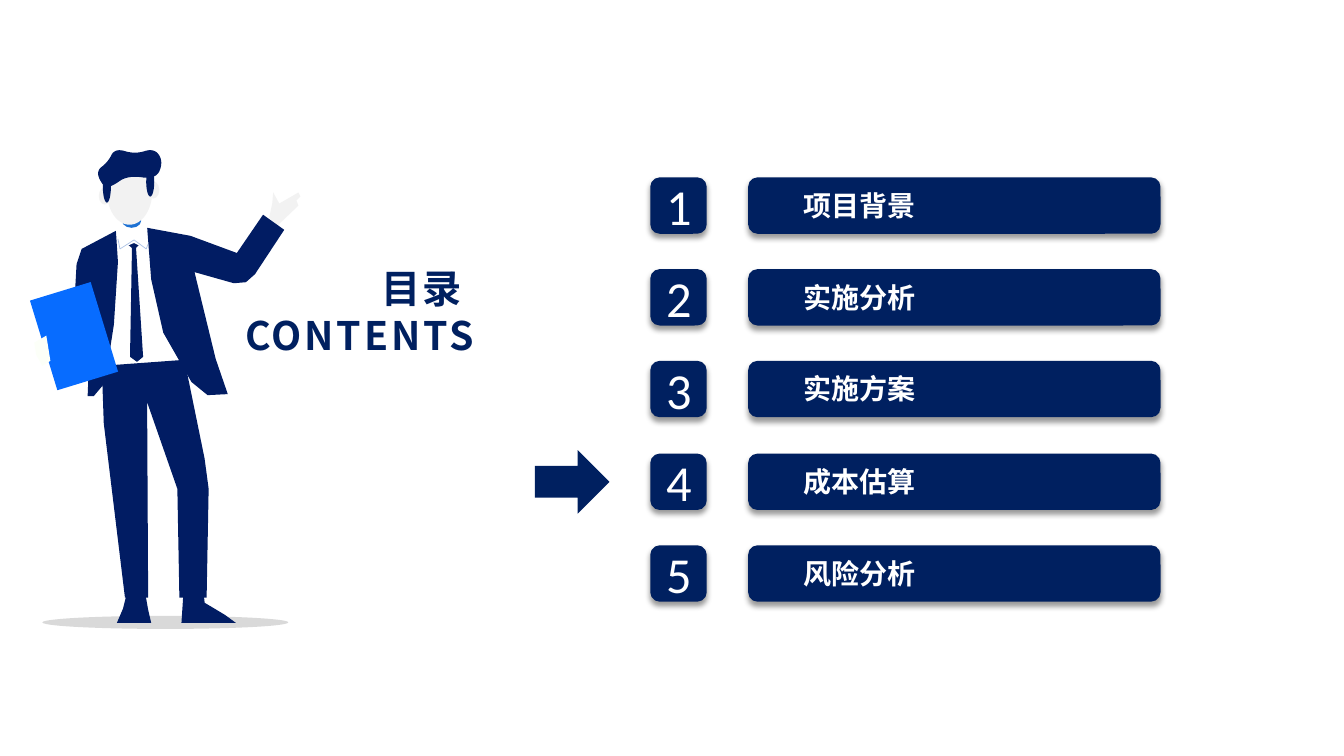
from itertools import pairwise

from lxml import etree
from pptx import Presentation
from pptx.dml.color import RGBColor
from pptx.enum.shapes import MSO_CONNECTOR, MSO_SHAPE
from pptx.enum.text import MSO_ANCHOR, MSO_AUTO_SIZE, PP_ALIGN
from pptx.oxml import parse_xml
from pptx.oxml.ns import nsdecls, qn
from pptx.util import Pt

PX = 9144  # EMU per px, 100 px to the inch
COLOURS = {
    "navy": "002060",
    "suit": "011C63",
    "white": "FFFFFF",
    "skin": "F2F2F2",
    "chin": "1D71D3",
    "seam": "ADC2E5",
    "folder": "076CFF",
    "fingers": "FCFFF8",
    "ground": "D9D9D9",
}
NUMBER_FONT = "Calibri"
TEXT_FONT = "Noto Sans CJK SC"
CHAPTERS = ["项目背景", "实施分析", "实施方案", "成本估算", "风险分析"]
ROW_TOP, ROW_PITCH, ROW_HEIGHT = 176, 91.25, 56

# Corner points in px, back to front
SHIRT = [(115, 229), (151, 231), (183, 357), (101, 367)]
LEFT_JACKET = [(115, 229), (117, 260), (113, 322), (104, 380), (93, 393),
               (87, 393), (90, 316), (73, 316), (76, 262), (81, 247)]
TIE = [(126, 242), (133, 238), (139, 242), (135, 246),
       (142, 354), (136, 359), (129, 354), (131, 246)]
TROUSERS = [(101, 363), (183, 357), (203, 455), (207, 485), (205, 593), (178, 593),
            (176, 485), (146, 399), (147, 593), (124, 593), (103, 420)]
RIGHT_SHOE = [(182, 588), (202, 588), (203, 598), (223, 610), (234, 618), (180, 618)]
LEFT_SHOE = [(126, 588), (144, 588), (147, 605), (150, 618), (116, 618), (122, 604)]
HAND = [(296, 191), (298, 195), (294, 199), (296, 204), (275, 224),
        (267, 216), (270, 202), (271, 191), (277, 202)]
RIGHT_JACKET = [(146, 226), (189, 234), (235, 251), (261, 213), (282, 228),
                (253, 272), (244, 280), (232, 281), (193, 270), (214, 356),
                (226, 391), (206, 392), (190, 379), (162, 330), (150, 277)]
COLLAR = [(120, 225), (146, 225), (145, 247), (133, 241), (119, 247), (115, 228)]
COLLAR_SEAM = [(117, 237), (119, 247), (133, 238), (145, 247), (147, 242)]
FINGERS = [(46, 333), (34, 340), (36, 352), (42, 363), (50, 358)]
HAIR = [(103, 186), (95, 170), (107, 161), (114, 147), (134, 153),
        (153, 147), (162, 160), (155, 178), (127, 174), (111, 185)]
BODY = [("white", SHIRT), ("suit", LEFT_JACKET), ("suit", TIE), ("suit", TROUSERS),
        ("suit", RIGHT_SHOE), ("suit", LEFT_SHOE), ("skin", HAND),
        ("suit", RIGHT_JACKET), ("white", COLLAR)]
# Chin shade, ears, head, sideburns
HEAD = [("chin", (121, 212, 19, 14)),
        ("skin", (98, 186, 12, 17)), ("skin", (146, 180, 12, 17)),
        ("skin", (106, 157, 45, 66)),
        ("suit", (102, 170, 8, 31)), ("suit", (145, 166, 8, 29))]


def px(length):
    return round(length * PX)


def rgb(colour):
    return RGBColor.from_string(COLOURS[colour])


def paint(shape, colour):
    shape.shadow.inherit = False
    shape.fill.solid()
    shape.fill.fore_color.rgb = rgb(colour)
    shape.line.fill.background()


def add_block(shapes, kind, place, colour):
    block = shapes.add_shape(kind, *map(px, place))
    paint(block, colour)
    return block


def add_card(shapes, place):
    """Navy rounded card with a soft shadow below."""
    card = add_block(shapes, MSO_SHAPE.ROUNDED_RECTANGLE, place, "navy")
    effects = card._element.spPr.find(qn("a:effectLst"))
    effects.append(parse_xml(
        f'<a:outerShdw {nsdecls("a")} blurRad="{Pt(4)}" dist="{Pt(3)}" dir="5400000" '
        'algn="t" rotWithShape="0"><a:srgbClr val="000000"><a:alpha val="40000"/>'
        '</a:srgbClr></a:outerShdw>'))
    return card


def set_frame(box, anchor=MSO_ANCHOR.TOP, auto_size=MSO_AUTO_SIZE.NONE):
    frame = box.text_frame
    frame.word_wrap = True
    frame.auto_size = auto_size
    frame.vertical_anchor = anchor
    frame.margin_left = frame.margin_right = px(13)
    frame.margin_top = frame.margin_bottom = px(7)
    return frame


def add_span(para, text, size, colour, font, align, bold=False, spacing=0):
    para.alignment = align
    span = para.add_run()
    span.text = text
    span.font.size = Pt(size)
    span.font.bold = bold
    span.font.name = font
    span.font.color.rgb = rgb(colour)
    properties = span.font._element
    etree.SubElement(properties, qn("a:ea")).set("typeface", font)
    if spacing:
        properties.set("spc", str(spacing * 100))


def add_chapter(page, number, title):
    top = ROW_TOP + round(ROW_PITCH * (number - 1))
    badge = add_card(page.shapes, (645, top, 56, ROW_HEIGHT))
    frame = set_frame(badge, MSO_ANCHOR.MIDDLE)
    add_span(frame.paragraphs[0], str(number), 36, "white", NUMBER_FONT, PP_ALIGN.CENTER)

    bar = page.shapes.add_group_shape()
    add_card(bar.shapes, (742, top, 409, ROW_HEIGHT))
    label = add_block(bar.shapes, MSO_SHAPE.RECTANGLE, (784, top + 4, 290, 47), "navy")
    frame = set_frame(label, auto_size=MSO_AUTO_SIZE.SHAPE_TO_FIT_TEXT)
    add_span(frame.paragraphs[0], title, 20, "white", TEXT_FONT, PP_ALIGN.LEFT, bold=True)


def add_title(page, lines):
    box = page.shapes.add_textbox(*map(px, (176, 255, 307, 108)))
    frame = set_frame(box, auto_size=MSO_AUTO_SIZE.SHAPE_TO_FIT_TEXT)
    for index, line in enumerate(lines):
        para = frame.add_paragraph() if index else frame.paragraphs[0]
        add_span(para, line, 28, "navy", TEXT_FONT, PP_ALIGN.RIGHT, bold=True, spacing=2)


def soften(points, rounds=3):
    """Round off a closed outline by cutting its corners."""
    for _ in range(rounds):
        points = [(a[0] + (b[0] - a[0]) * share, a[1] + (b[1] - a[1]) * share)
                  for a, b in pairwise(points + points[:1]) for share in (0.25, 0.75)]
    return points


def add_outline(shapes, points, colour):
    start, *rest = [(px(x), px(y)) for x, y in points]
    builder = shapes.build_freeform(*start)
    builder.add_line_segments(rest, close=True)
    paint(builder.convert_to_shape(), colour)


def add_seam(shapes, start, end):
    seam = shapes.add_connector(MSO_CONNECTOR.STRAIGHT, *map(px, start + end))
    seam.line.color.rgb = rgb("seam")
    seam.line.width = Pt(0.5)
    etree.SubElement(seam._element.spPr, qn("a:effectLst"))


def add_presenter(page):
    shapes = page.shapes.add_group_shape().shapes
    add_block(shapes, MSO_SHAPE.OVAL, (42, 611, 244, 13), "ground")
    for colour, points in BODY:
        add_outline(shapes, points, colour)
    for start, end in pairwise(COLLAR_SEAM):
        add_seam(shapes, start, end)
    for colour, place in HEAD:
        add_block(shapes, MSO_SHAPE.OVAL, place, colour)
    add_outline(shapes, soften(HAIR), "suit")
    folder = add_block(shapes, MSO_SHAPE.RECTANGLE, (42, 287, 63, 93), "folder")
    folder.rotation = -17
    add_outline(shapes, FINGERS, "fingers")


def main():
    deck = Presentation()
    deck.slide_width, deck.slide_height = px(1333), px(750)
    page = deck.slides.add_slide(deck.slide_layouts[6])
    # Chapter list
    for number, title in enumerate(CHAPTERS, 1):
        add_chapter(page, number, title)
    # Heading and marker of the current chapter
    add_title(page, ["目录 ", "CONTENTS"])
    arrow = add_block(page.shapes, MSO_SHAPE.DOWN_ARROW, (536, 441, 63, 74), "navy")
    arrow.rotation = 270
    # Presenter
    add_presenter(page)
    deck.save("out.pptx")


if __name__ == "__main__":
    main()
